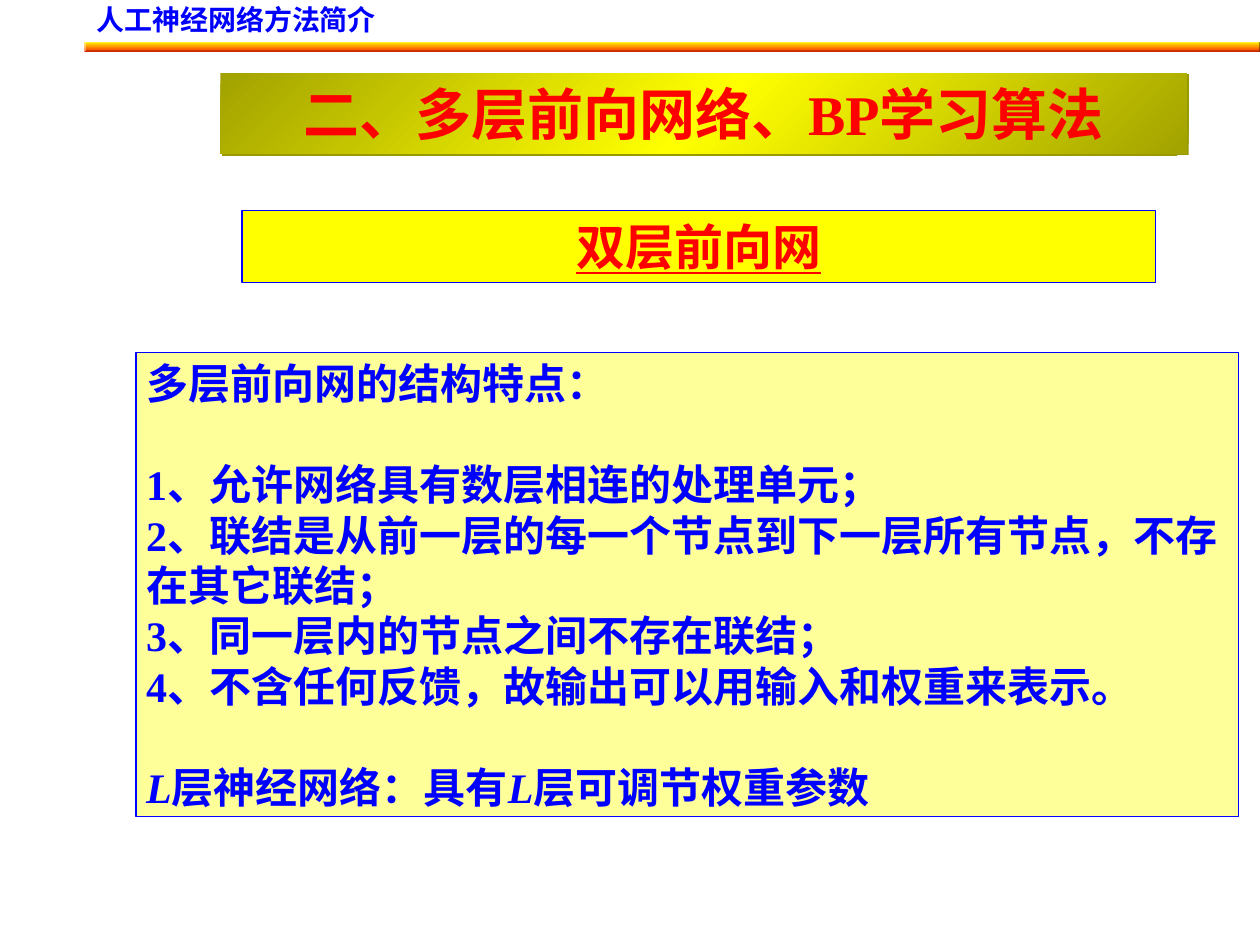
from lxml import etree
from pptx import Presentation
from pptx.dml.color import RGBColor
from pptx.enum.shapes import MSO_SHAPE
from pptx.enum.text import MSO_ANCHOR, MSO_AUTO_SIZE, PP_ALIGN
from pptx.oxml.ns import qn
from pptx.util import Inches, Pt

RECTANGLE, BEVEL = MSO_SHAPE.RECTANGLE, MSO_SHAPE.BEVEL
TOP, GROW = MSO_ANCHOR.TOP, MSO_AUTO_SIZE.SHAPE_TO_FIT_TEXT
LEFT, CENTER = PP_ALIGN.LEFT, PP_ALIGN.CENTER
FONT = "Times New Roman"
BLUE, RED, YELLOW = "0000FF", "FF0000", "FFFF00"
FEATURES = [
    "多层前向网的结构特点：",
    "1、允许网络具有数层相连的处理单元；",
    "2、联结是从前一层的每一个节点到下一层所有节点，不存在其它联结；",
    "3、同一层内的节点之间不存在联结；",
    "4、不含任何反馈，故输出可以用输入和权重来表示。",
]
SUMMARY = ["L", "层神经网络：具有", "L", "层可调节权重参数"]


def color(value):
    return RGBColor.from_string(value)


def add_block(slide, box, fill=None, line=None, kind=RECTANGLE):
    shape = slide.shapes.add_shape(kind, *map(Inches, box))
    shape.shadow.inherit = False
    if fill:
        shape.fill.solid()
        shape.fill.fore_color.rgb = color(fill)
    if line:
        shape.line.color.rgb = color(line)
        shape.line.width = Pt(0.74)
    else:
        shape.line.fill.background()
    return shape


def set_gradient(shape, stops, angle):
    shape.fill.gradient()
    shape.fill.gradient_angle = 360 - angle
    stop_list = shape.element.spPr.find(qn("a:gradFill")).find(qn("a:gsLst"))
    for stop in list(stop_list):
        stop_list.remove(stop)
    for position, value in stops:
        stop = etree.SubElement(stop_list, qn("a:gs"), pos=str(position * 1000))
        etree.SubElement(stop, qn("a:srgbClr"), val=value)


def add_shadow(shape, value, distance, angle):
    effects = shape.element.spPr.find(qn("a:effectLst"))
    shadow = etree.SubElement(effects, qn("a:outerShdw"), blurRad="0",
                              dist=str(Pt(distance)), dir=str(angle * 60000))
    etree.SubElement(shadow, qn("a:srgbClr"), val=value)


def prepare_frame(shape, margins=(0.1, 0.05, 0.1, 0.05)):
    frame = shape.text_frame
    frame.word_wrap = True
    frame.auto_size = GROW
    frame.vertical_anchor = TOP
    (frame.margin_left, frame.margin_top,
     frame.margin_right, frame.margin_bottom) = map(Inches, margins)
    return frame


def style_paragraph(paragraph, size, value, alignment=LEFT):
    paragraph.alignment = alignment
    paragraph.font.name = FONT
    paragraph.font.size = Pt(size)
    paragraph.font.bold = True
    paragraph.font.color.rgb = color(value)


def write_line(shape, text, size, value, alignment=LEFT):
    paragraph = prepare_frame(shape).paragraphs[0]
    paragraph.text = text
    style_paragraph(paragraph, size, value, alignment)
    return paragraph


def add_header(slide, left, top, width):
    rule = add_block(slide, (left, top + 0.33, width, 0.08), kind=BEVEL)
    set_gradient(rule, [(0, YELLOW), (100, "FF3300")], 90)
    label = slide.shapes.add_textbox(*map(Inches, (left, top, 6.58, 0.34)))
    write_line(label, "人工神经网络方法简介", 16, BLUE).line_spacing = 0.9


def add_title(slide, box):
    title = add_block(slide, box)
    set_gradient(title, [(0, "A2A200"), (50, YELLOW), (100, "A2A200")], 45)
    add_shadow(title, "999900", 1.4, 45)
    write_line(title, "二、多层前向网络、BP学习算法", 32, RED, CENTER)


def add_subtitle(slide, box):
    subtitle = add_block(slide, box, YELLOW, BLUE)
    write_line(subtitle, "双层前向网", 28, RED, CENTER).font.underline = True


def add_features(slide, box):
    panel = add_block(slide, box, "FFFF99", BLUE)
    frame = prepare_frame(panel, (0.08, 0.04, 0.04, 0.04))
    frame.text = "\n".join(FEATURES)
    summary = frame.add_paragraph()
    for index, text in enumerate(SUMMARY):
        run = summary.add_run()
        run.text = text
        run.font.italic = index % 2 == 0
    for paragraph in frame.paragraphs:
        style_paragraph(paragraph, 24, BLUE)
    for paragraph in (frame.paragraphs[1], summary):
        paragraph.space_before = Pt(28.8)


presentation = Presentation()
presentation.slide_width = Inches(10)
presentation.slide_height = Inches(7.5)
slide = presentation.slides.add_slide(presentation.slide_layouts[6])
add_header(slide, 0.67, 0, 9.33)
add_title(slide, (1.75, 0.58, 7.67, 0.64))
add_subtitle(slide, (1.92, 1.67, 7.25, 0.57))
add_features(slide, (1.08, 2.8, 8.75, 3.68))
presentation.save("out.pptx")
